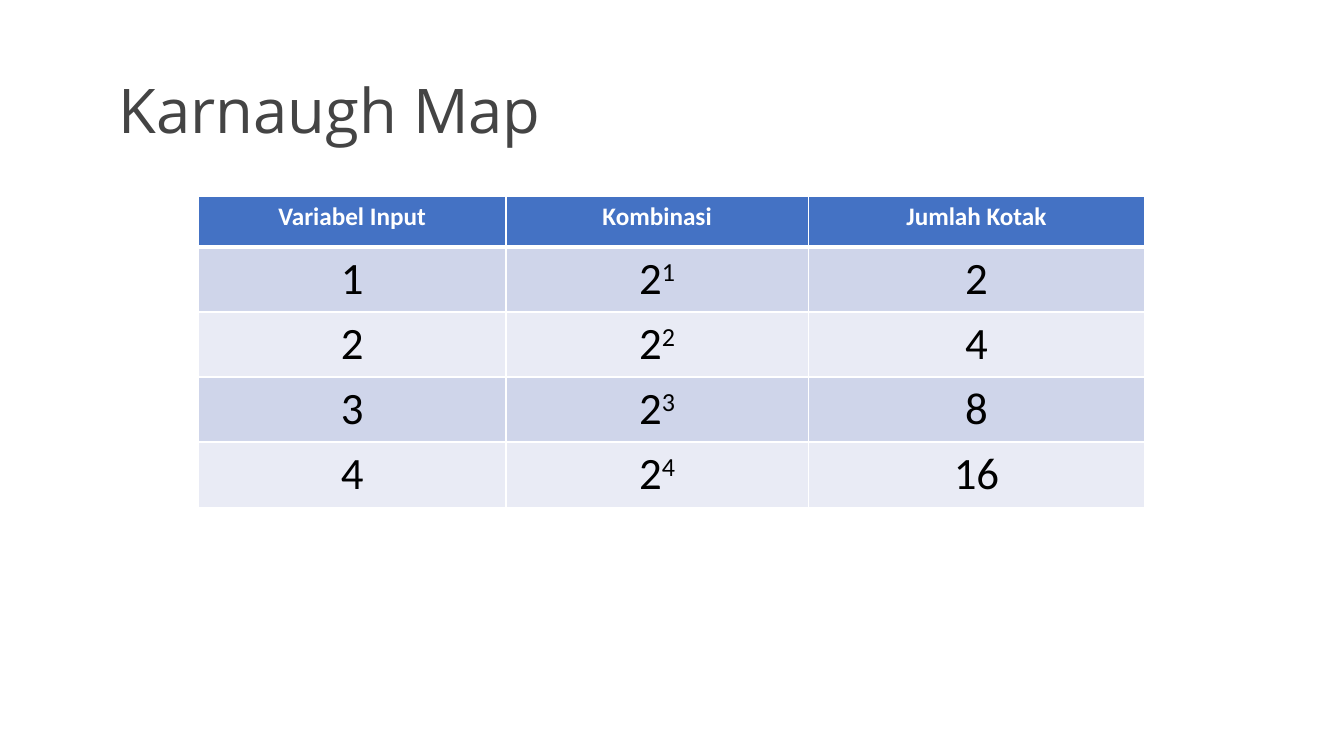
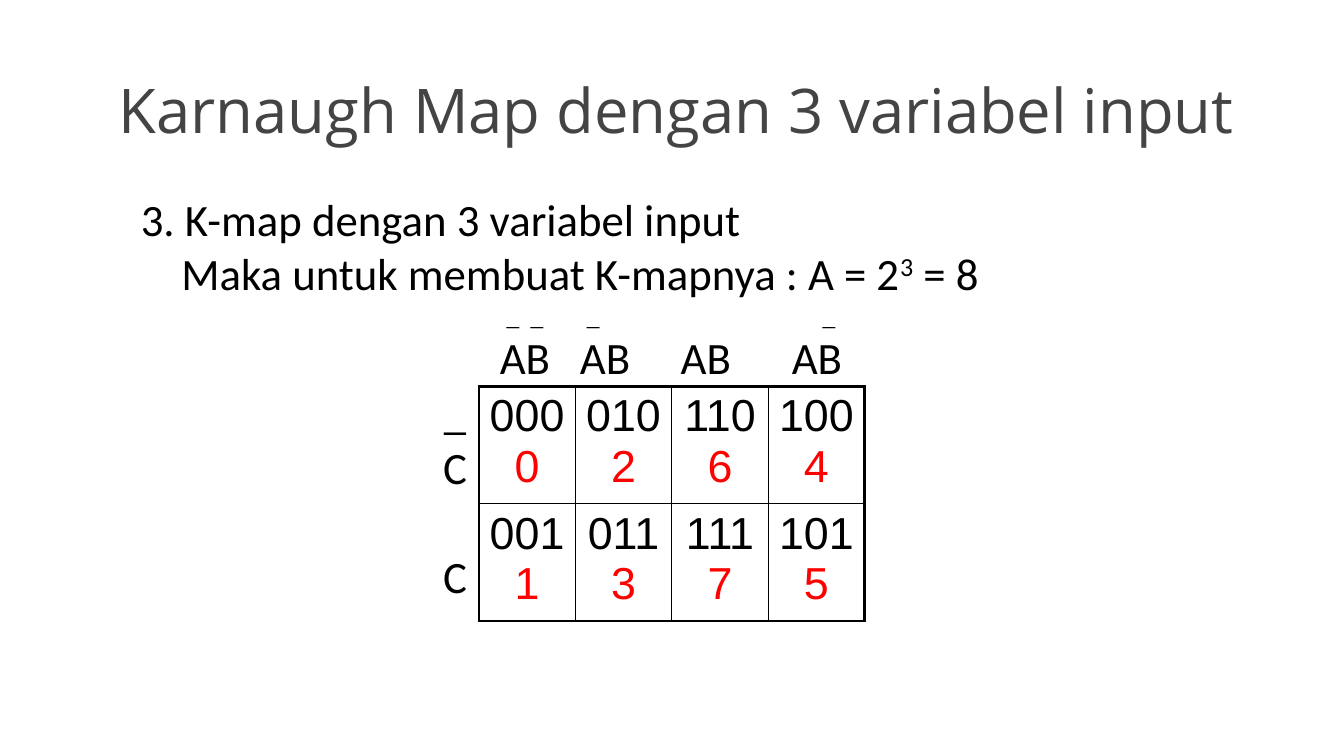
from dataclasses import dataclass
from lxml import etree
from pptx import Presentation
from pptx import util as u
from pptx.dml.color import RGBColor
from pptx.enum import text
from pptx.oxml import ns

Cm, Pt = u.Cm, u.Pt
ALIGN, ANCHOR = text.PP_ALIGN, text.MSO_ANCHOR


@dataclass(frozen=True)
class Theme:
    """Colours, fonts and type sizes of the deck."""
    title_color: str = "444444"
    ink: str = "000000"
    paper: str = "FFFFFF"
    accent: str = "FF0000"
    header: str = "4472C4"
    bands: tuple = ("CFD5EA", "E9EBF5")
    title_font: str = "Open Sans"
    body_font: str = "Calibri"
    map_font: str = "Arial"
    bar_font: str = "Times New Roman"
    title_size: int = 44
    body_size: int = 32
    small_size: int = 18


class Deck:
    """Holds the theme and the current slide; one method per kind of element."""

    def __init__(self, theme):
        self.theme = theme
        self.prs = Presentation()
        self.prs.slide_width, self.prs.slide_height = Cm(33.87), Cm(19.05)
        self.s = None

    def slide(self, title):
        t = self.theme
        self.s = self.prs.slides.add_slide(self.prs.slide_layouts[5])
        sp = self.s.shapes.title
        sp.left, sp.top, sp.width, sp.height = Cm(2.33), Cm(1.01), Cm(29.21), Cm(3.68)
        self.frame(sp.text_frame, vertical_anchor=ANCHOR.MIDDLE, margin_left=Cm(0.66))
        p = sp.text_frame.paragraphs[0]
        p.line_spacing = 0.9
        self.add_runs(p, [(title, {})], ALIGN.LEFT, name=t.title_font,
                      size=t.title_size, color=t.title_color)

    def frame(self, tf, **attributes):
        defaults = dict(word_wrap=True, auto_size=text.MSO_AUTO_SIZE.NONE)
        for key, value in {**defaults, **attributes}.items():
            setattr(tf, key, value)

    def add_runs(self, p, runs, align, **base):
        """Add (text, format) runs to a paragraph; None makes a line break."""
        t = self.theme
        p.alignment = align
        defaults = dict(name=t.body_font, size=t.body_size, color=t.ink, bold=False)
        for content, own in runs:
            if content is None:
                p.add_line_break()
                continue
            r = p.add_run()
            r.text = content
            style = {**defaults, **base, **own}
            r.font.color.rgb = RGBColor.from_string(style.pop("color"))
            if style.pop("sup", False):
                r._r.get_or_add_rPr().set("baseline", "30000")
            style["size"] = Pt(style["size"])
            for key, value in style.items():
                setattr(r.font, key, value)

    def textbox(self, left, top, width, height, paragraphs):
        """Justified paragraphs, each given as (indent, runs)."""
        tf = self.s.shapes.add_textbox(Cm(left), Cm(top), Cm(width), Cm(height)).text_frame
        self.frame(tf)
        for i, (indent, runs) in enumerate(paragraphs):
            p = tf.add_paragraph() if i else tf.paragraphs[0]
            p._p.get_or_add_pPr().set("marL", str(Cm(indent)))
            self.add_runs(p, runs, ALIGN.JUSTIFY)

    def label(self, center, top, content, **style):
        """A short text centred on a point, without insets."""
        width, height = 1.6, 1.38
        box = self.s.shapes.add_textbox(Cm(center - width / 2), Cm(top), Cm(width), Cm(height))
        margins = {f"margin_{side}": 0 for side in ("left", "top", "right", "bottom")}
        self.frame(box.text_frame, **margins)
        self.add_runs(box.text_frame.paragraphs[0], [(content, {})], ALIGN.CENTER, **style)

    def border(self, cell, color, **widths):
        tc_pr = cell._tc.get_or_add_tcPr()
        for side, width in widths.items():
            ln = etree.SubElement(tc_pr, ns.qn(f"a:ln{side}"), w=str(Pt(width)))
            fill = etree.SubElement(ln, ns.qn("a:solidFill"))
            etree.SubElement(fill, ns.qn("a:srgbClr"), val=color)

    def table(self, left, top, cols, rows, cells, fills, line_color, h_lines, v_lines, styles):
        """cells holds run lists; fills and styles go by row, line widths by grid line."""
        tb = self.s.shapes.add_table(len(rows), len(cols), Cm(left), Cm(top),
                                     Cm(sum(cols)), Cm(sum(rows))).table
        tb.first_row = tb.horz_banding = False
        for column, width in zip(tb.columns, cols):
            column.width = Cm(width)
        for row, height in zip(tb.rows, rows):
            row.height = Cm(height)
        for i, line in enumerate(cells):
            for j, runs in enumerate(line):
                cell = tb.cell(i, j)
                self.border(cell, line_color, L=v_lines[j], R=v_lines[j + 1],
                            T=h_lines[i], B=h_lines[i + 1])
                cell.fill.solid()
                cell.fill.fore_color.rgb = RGBColor.from_string(fills[i])
                self.add_runs(cell.text_frame.paragraphs[0], runs, ALIGN.CENTER, **styles[i])


def combinations_slide(deck):
    t = deck.theme
    deck.slide("Karnaugh Map")

    # Number of boxes for each number of inputs
    headings = ("Variabel Input", "Kombinasi", "Jumlah Kotak")
    cells = [[[(heading, {})] for heading in headings]]
    for n in range(1, 5):
        cells.append([[(str(n), {})],
                      [("2", {}), (str(n), dict(sup=True))],
                      [(str(2 ** n), {})]])
    heading_style = dict(size=t.small_size, color=t.paper, bold=True)
    deck.table(5, 4.95, (7.75, 7.62, 8.48), [1.27] + [1.64] * 4, cells,
               fills=(t.header,) + t.bands * 2, line_color=t.paper,
               h_lines=(1, 3, 1, 1, 1, 1), v_lines=(1,) * 4,
               styles=[heading_style] + [{}] * 4)


def three_inputs_slide(deck):
    t = deck.theme
    deck.slide("Karnaugh Map dengan 3 variabel input")

    # Explanation
    deck.textbox(3.3, 4.7, 27.08, 3, [
        (0, [("3. K-map dengan 3 variabel input", {})]),
        (1.02, [("Maka untuk membuat K-mapnya : A = 2", {}),
                ("3", dict(sup=True)), (" = 8", {})]),
    ])

    # Column labels, with bars over the negated letters
    letter_offset = {"A": -0.3, "B": 0.3}
    for center, negated in ((13.23, "AB"), (15.25, "A"), (17.79, ""), (20.59, "B")):
        deck.label(center, 8.31, "AB")
        for letter in negated:
            deck.label(center + letter_offset[letter], 7.58, "_",
                       name=t.bar_font, size=t.small_size)

    # Row labels
    for top, mark in ((9.69, "_"), (11.07, "C"), (13.82, "C")):
        deck.label(11.47, top, mark)

    # Map: binary code above its decimal value
    codes = [[ab + c for ab in ("00", "01", "11", "10")] for c in "01"]
    cells = [[[(code, {}), (None, {}), (str(int(code, 2)), dict(color=t.accent))]
              for code in line] for line in codes]
    deck.table(12.07, 9.73, [2.43] * 4, [2.96] * 2, cells,
               fills=[t.paper] * 2, line_color=t.ink,
               h_lines=(2.25, 1, 2.25), v_lines=(2.25, 1, 1, 1, 2.25),
               styles=[dict(name=t.map_font)] * 2)


def main():
    deck = Deck(Theme())
    combinations_slide(deck)
    three_inputs_slide(deck)
    deck.prs.save("out.pptx")


if __name__ == "__main__":
    main()
